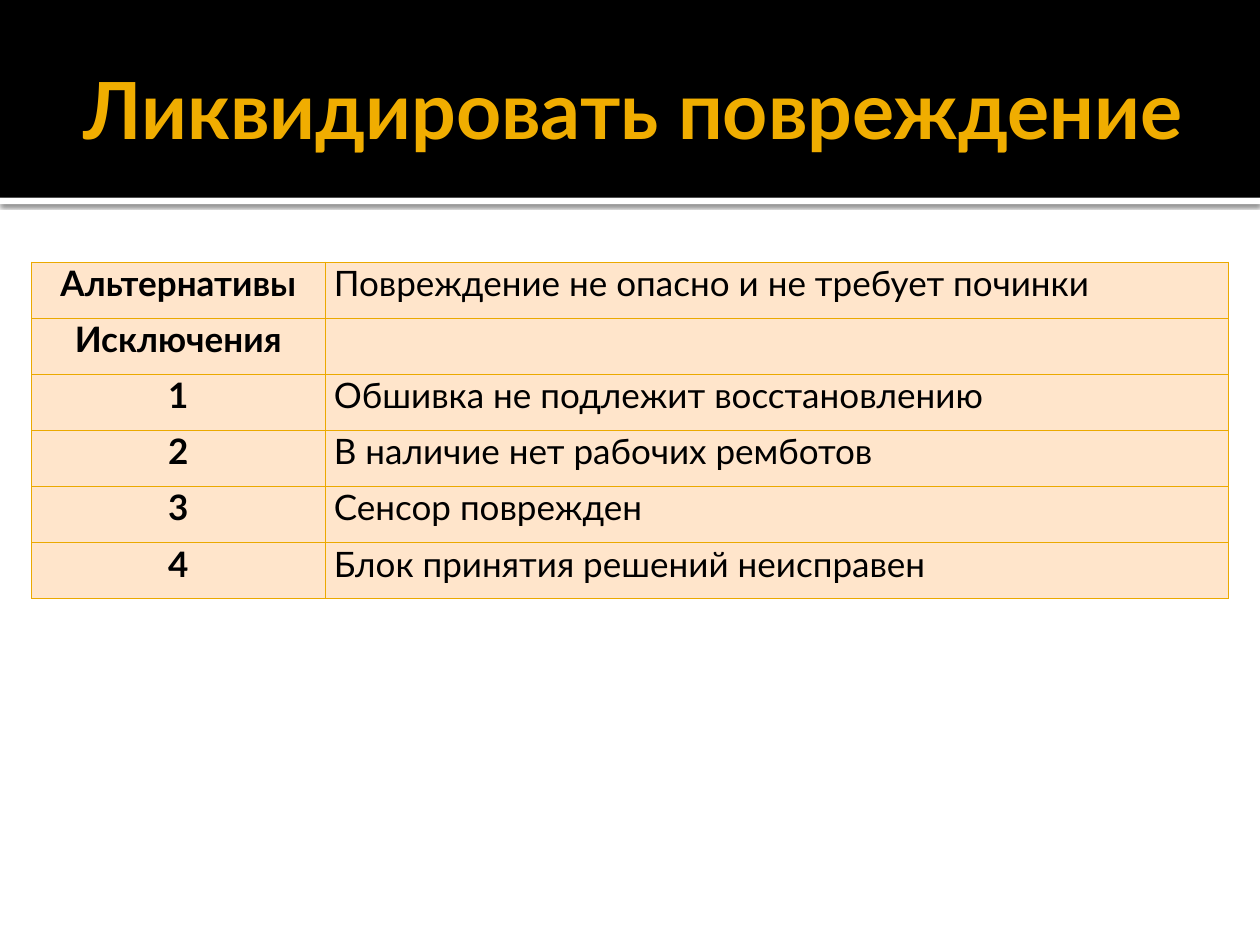
"""Builds a slide with a title band and a table of alternatives and exceptions."""
import pptx
import pptx.dml.color
import pptx.enum.shapes
import pptx.enum.text
import pptx.oxml
import pptx.oxml.ns
import pptx.util

Inches, Pt = pptx.util.Inches, pptx.util.Pt
RGBColor = pptx.dml.color.RGBColor
ALIGN = pptx.enum.text.PP_ALIGN

BLACK = RGBColor(0x00, 0x00, 0x00)
WHITE = RGBColor(0xFF, 0xFF, 0xFF)
GOLD = RGBColor(0xF0, 0xAD, 0x00)
BORDER = RGBColor(0xEB, 0xA9, 0x00)
PEACH = RGBColor(0xFF, 0xE5, 0xCB)
FONT = "Lato"

TITLE = "Ликвидировать повреждение"
ROWS = [
    ("Альтернативы", "Повреждение не опасно и не требует починки"),
    ("Исключения", ""),
    ("1", "Обшивка не подлежит восстановлению"),
    ("2", "В наличие нет рабочих ремботов"),
    ("3", "Сенсор поврежден"),
    ("4", "Блок принятия решений неисправен"),
]
COLUMNS = [(2.33, ALIGN.CENTER, True), (7.17, ALIGN.LEFT, False)]
TABLE_HEIGHT = 2.67
NAMESPACE = pptx.oxml.ns.nsdecls("a")
SHADOW = (
    f'<a:effectLst {NAMESPACE}><a:outerShdw blurRad="{Pt(2.5)}" dist="{Pt(0.8)}" '
    'dir="5400000" algn="tl" rotWithShape="0"><a:srgbClr val="000000">'
    '<a:alpha val="60000"/></a:srgbClr></a:outerShdw></a:effectLst>'
)


def add_band(page, top, height, color):
    band = page.shapes.add_shape(
        pptx.enum.shapes.MSO_SHAPE.RECTANGLE, 0, Inches(top), Inches(10), Inches(height))
    band.shadow.inherit = False
    band.fill.solid()
    band.fill.fore_color.rgb = color
    band.line.fill.background()
    return band


def write(para, text, size, color, bold, align):
    para.alignment = align
    span = para.add_run()
    span.text = text
    span.font.name = FONT
    span.font.size = Pt(size)
    span.font.bold = bold
    span.font.color.rgb = color


def style_cell(cell):
    properties = cell._tc.get_or_add_tcPr()
    for side in "LRTB":
        properties.append(pptx.oxml.parse_xml(
            f'<a:ln{side} {NAMESPACE} w="{Pt(0.5)}"><a:solidFill>'
            f'<a:srgbClr val="{BORDER}"/></a:solidFill></a:ln{side}>'))
    cell.fill.solid()
    cell.fill.fore_color.rgb = PEACH
    cell.margin_left = cell.margin_right = Inches(0.07)
    cell.margin_top = cell.margin_bottom = 0


deck = pptx.Presentation()
deck.slide_width, deck.slide_height = Inches(10), Inches(7.5)
page = deck.slides.add_slide(deck.slide_layouts[6])

stripe = add_band(page, 1.57, 0.05, WHITE)
properties = stripe._element.spPr
properties.remove(properties.find(pptx.oxml.ns.qn("a:effectLst")))
properties.append(pptx.oxml.parse_xml(SHADOW))
add_band(page, 0, 1.57, BLACK)

box = page.shapes.add_textbox(Inches(0.5), Inches(0.17), Inches(9), Inches(1.37))
frame = box.text_frame
frame.word_wrap = True
frame.vertical_anchor = pptx.enum.text.MSO_ANCHOR.MIDDLE
frame.margin_left = Inches(0.1)
frame.margin_right = frame.margin_top = frame.margin_bottom = Inches(0.05)
write(frame.paragraphs[0], TITLE, 45, GOLD, True, ALIGN.CENTER)

table = page.shapes.add_table(
    len(ROWS), len(COLUMNS), Inches(0.25), Inches(2.08), Inches(9.5), Inches(TABLE_HEIGHT)).table
for column, (width, _, _) in zip(table.columns, COLUMNS):
    column.width = Inches(width)
for row, texts in zip(table.rows, ROWS):
    row.height = Inches(TABLE_HEIGHT / len(ROWS))
    for cell, text, (_, align, bold) in zip(row.cells, texts, COLUMNS):
        style_cell(cell)
        if text:
            write(cell.text_frame.paragraphs[0], text, 20, BLACK, bold, align)

deck.save("out.pptx")
